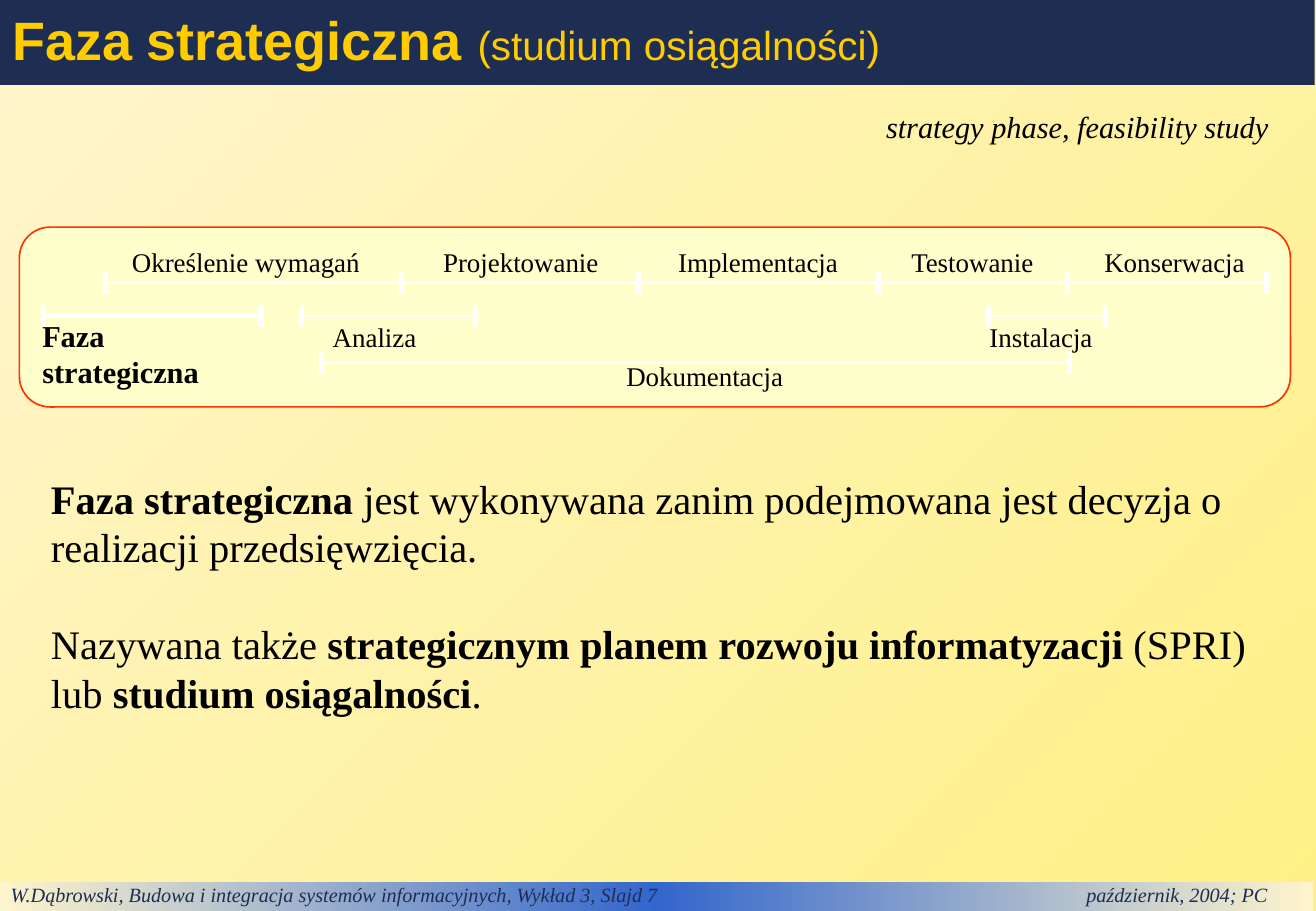
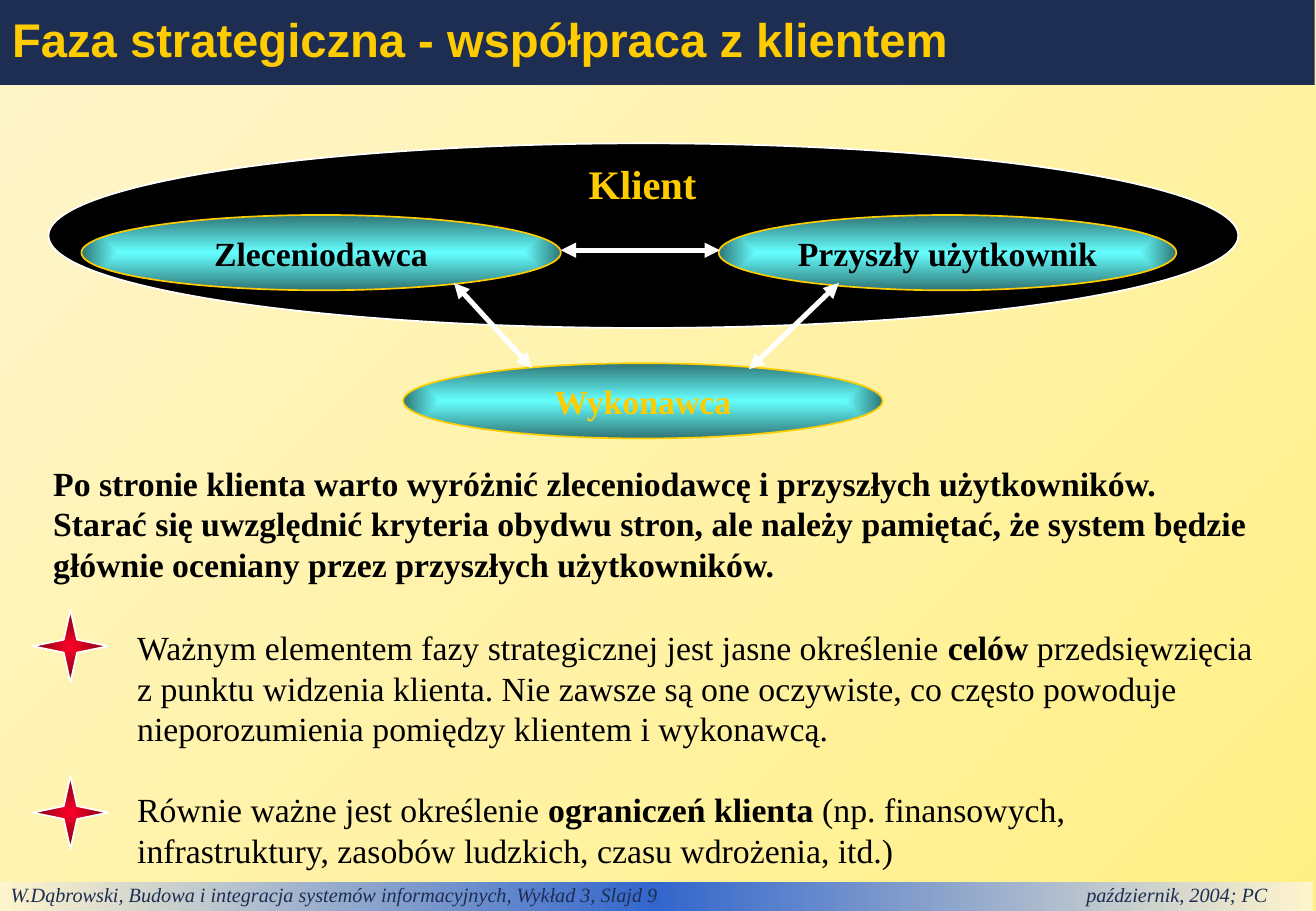
from pptx import Presentation
from pptx.dml.color import RGBColor
from pptx.enum.shapes import MSO_CONNECTOR, MSO_SHAPE
from pptx.enum.text import MSO_ANCHOR, MSO_AUTO_SIZE, PP_ALIGN
from pptx.oxml import parse_xml
from pptx.oxml.ns import nsdecls, qn
from pptx.util import Inches, Pt
from lxml import etree

# Shared colours, fonts and gradients
NAVY = RGBColor(0x1E, 0x2E, 0x53)
GOLD = RGBColor(0xFF, 0xCC, 0x00)
BLACK = RGBColor(0, 0, 0)
WHITE = RGBColor(0xFF, 0xFF, 0xFF)
CREAM = RGBColor(0xFF, 0xF5, 0xCD)
YELLOW = RGBColor(0xFF, 0xF0, 0x85)
PALE_YELLOW = RGBColor(0xFF, 0xFF, 0xCC)
ORANGE_RED = RGBColor(0xFF, 0x33, 0x00)
BLUE = RGBColor(0x33, 0x66, 0xCC)
CYAN = RGBColor(0x66, 0xFF, 0xFF)
TEAL = RGBColor(0x2F, 0x75, 0x75)
RED = RGBColor(0xFC, 0x01, 0x28)
DARK_RED = RGBColor(0x74, 0x00, 0x12)

SERIF = "Times New Roman"
SANS = "Arial"
LINEAR = '<a:lin ang="0" scaled="0"/>'
FROM_CENTRE = ('<a:path path="rect"><a:fillToRect l="50000" t="50000" '
               'r="50000" b="50000"/></a:path>')


# Text
def style_font(font, size, color=BLACK, bold=False, italic=False, name=SERIF):
    font.name, font.size = name, Pt(size)
    font.bold, font.italic = bold, italic
    font.color.rgb = color


def write_text(frame, paragraphs, size, gap=0, align=PP_ALIGN.LEFT, **style):
    """Fill a frame; **marked** parts of a paragraph become bold."""
    for index, text in enumerate(paragraphs):
        para = frame.paragraphs[0] if index == 0 else frame.add_paragraph()
        para.alignment = align
        para.space_before = Pt(gap if index else 0)
        style_font(para.font, size, **style)
        for part, content in enumerate(text.split("**")):
            if content:
                span = para.add_run()
                span.text = content
                if part % 2:
                    span.font.bold = True


def place(shape, left, top, width, height):
    shape.left, shape.top = Inches(left), Inches(top)
    shape.width, shape.height = Inches(width), Inches(height)


def add_text(slide, area, paragraphs, size, wrap=False, **style):
    box = slide.shapes.add_textbox(*map(Inches, area))
    box.text_frame.word_wrap = wrap
    write_text(box.text_frame, paragraphs, size, **style)


def fill_body(slide, area, paragraphs, size, gap):
    body = slide.placeholders[1]
    place(body, *area)
    body.text_frame.auto_size = MSO_AUTO_SIZE.NONE
    write_text(body.text_frame, paragraphs, size, gap)
    for para in body.text_frame.paragraphs:
        properties = para._p.get_or_add_pPr()
        properties.set("marL", "0")
        properties.set("indent", "0")
        defaults = properties.find(qn("a:defRPr"))
        defaults.addprevious(parse_xml(f'<a:buNone {nsdecls("a")}/>'))


# Shapes and lines
def fill_gradient(shape, stops, direction):
    marks = "".join(
        f'<a:gs pos="{position * 1000}"><a:srgbClr val="{color}"/></a:gs>'
        for position, color in stops)
    geometry = shape.element.spPr[1]
    geometry.addnext(parse_xml(
        f'<a:gradFill {nsdecls("a")} rotWithShape="1">'
        f'<a:gsLst>{marks}</a:gsLst>{direction}</a:gradFill>'))


def add_shape(slide, kind, area, fill=None, line=None):
    shape = slide.shapes.add_shape(kind, *map(Inches, area))
    shape.shadow.inherit = False
    if fill is not None:
        shape.fill.solid()
        shape.fill.fore_color.rgb = fill
    if line is None:
        shape.line.fill.background()
    else:
        shape.line.color.rgb = line
        shape.line.width = Pt(1)
    return shape


def add_line(slide, start, end, width, arrows=False):
    line = slide.shapes.add_connector(
        MSO_CONNECTOR.STRAIGHT, *map(Inches, (*start, *end)))
    line.line.color.rgb = WHITE
    line.line.width = Pt(width)
    if arrows:
        outline = line.line._get_or_add_ln()
        for tag in ("a:headEnd", "a:tailEnd"):
            etree.SubElement(outline, qn(tag)).set("type", "triangle")
    etree.SubElement(line.element.spPr, qn("a:effectLst"))


def add_time_bar(slide, y, edges, width=1):
    add_line(slide, (edges[0], y), (edges[-1], y), width)
    for x in edges:
        add_line(slide, (x, y - 0.09), (x, y + 0.09), 3)


def add_role(slide, area, name, color=BLACK):
    role = add_shape(slide, MSO_SHAPE.OVAL, area, line=GOLD)
    fill_gradient(role, [(0, CYAN), (100, TEAL)], FROM_CENTRE)
    role.text_frame.word_wrap = False
    write_text(role.text_frame, [name], 20, align=PP_ALIGN.CENTER,
               color=color, bold=True)


def add_star(slide, top):
    star = add_shape(slide, MSO_SHAPE.STAR_4_POINT, (0.27, top, 0.62, 0.6), line=WHITE)
    fill_gradient(star, [(0, RED), (100, DARK_RED)], FROM_CENTRE)


# Parts shared by the slides
def set_background(deck):
    fill = deck.slide_master.background.fill
    fill.gradient()
    fill.gradient_angle = 135
    for stop, color in zip(fill.gradient_stops, (YELLOW, CREAM)):
        stop.color.rgb = color


def add_footer(slide, number):
    band = add_shape(slide, MSO_SHAPE.RECTANGLE, (-0.01, 7.26, 10.83, 0.24))
    fill_gradient(band, [(0, CREAM), (50, BLUE), (100, CREAM)], LINEAR)
    frame = band.text_frame
    frame.margin_top, frame.margin_bottom = 0, Inches(0.04)
    frame.vertical_anchor = MSO_ANCHOR.TOP
    properties = frame.paragraphs[0]._p.get_or_add_pPr()
    properties.append(parse_xml(
        f'<a:tabLst {nsdecls("a")}><a:tab pos="{Inches(8.86)}" algn="l"/></a:tabLst>'))
    write_text(frame, [
        "W.Dąbrowski, Budowa i integracja systemów informacyjnych, "
        f"Wykład 3, Slajd {number}\tpaździernik, 2004; PC"],
        12, color=NAVY, italic=True)


def add_slide(deck, number, title, size, subtitle=None):
    slide = deck.slides.add_slide(deck.slide_layouts[1])
    add_footer(slide, number)
    heading = slide.shapes.title
    place(heading, 0, 0, 10.83, 0.7)
    heading.fill.solid()
    heading.fill.fore_color.rgb = NAVY
    frame = heading.text_frame
    frame.auto_size = MSO_AUTO_SIZE.NONE
    frame.vertical_anchor = MSO_ANCHOR.MIDDLE
    write_text(frame, [title], size, color=GOLD, bold=True, name=SANS)
    para = frame.paragraphs[0]
    para.line_spacing = 0.9
    if subtitle:
        span = para.add_run()
        span.text = subtitle
        span.font.size, span.font.bold = Pt(24), False
    return slide


# Slides
def build_phase_slide(deck):
    slide = add_slide(deck, 7, "Faza strategiczna ", 32, "(studium osiągalności)")
    add_text(slide, (7.2, 0.84, 3.35, 0.4), ["strategy phase, feasibility study"],
             18, italic=True)

    # Project timeline
    panel = add_shape(slide, MSO_SHAPE.ROUNDED_RECTANGLE, (0.16, 1.87, 10.47, 1.48),
                      PALE_YELLOW, ORANGE_RED)
    panel.adjustments[0] = 0.17
    labels = [
        ("Określenie wymagań", 0.97, 1.97, 2.11),
        ("Projektowanie", 3.53, 1.97, 1.52),
        ("Implementacja", 5.47, 1.97, 1.55),
        ("Testowanie", 7.38, 1.97, 1.26),
        ("Konserwacja", 8.98, 1.97, 1.39),
        ("Analiza", 2.64, 2.59, 0.89),
        ("Instalacja", 8.05, 2.59, 1.05),
        ("Dokumentacja", 5.06, 2.91, 1.49),
    ]
    for name, left, top, width in labels:
        add_text(slide, (left, top, width, 0.37), [name], 16, align=PP_ALIGN.CENTER)
    add_text(slide, (0.25, 2.56, 2.06, 0.4), ["Faza strategiczna"], 18, bold=True)
    add_time_bar(slide, 2.33, (0.87, 3.31, 5.26, 7.24, 8.79, 10.43))
    add_time_bar(slide, 2.6, (0.36, 2.15), 3)
    add_time_bar(slide, 2.6, (2.48, 3.92))
    add_time_bar(slide, 2.6, (8.14, 9.11))
    add_time_bar(slide, 2.99, (2.65, 8.81))

    fill_body(slide, (0.32, 3.85, 10.51, 2.1), [
        "**Faza strategiczna** jest wykonywana zanim podejmowana jest decyzja o "
        "realizacji przedsięwzięcia.",
        "Nazywana także **strategicznym planem rozwoju informatyzacji** (SPRI) "
        "lub **studium osiągalności**."], 24, 28.8)


def build_client_slide(deck):
    slide = add_slide(deck, 9, "Faza strategiczna - współpraca z klientem", 28)

    # Client, contractor and their links
    add_shape(slide, MSO_SHAPE.OVAL, (0.4, 1.18, 9.8, 1.52), BLACK, WHITE)
    add_text(slide, (4.75, 1.26, 1.09, 0.5), ["Klient"], 24, color=GOLD, bold=True)
    add_role(slide, (3.32, 2.99, 3.95, 0.62), "Wykonawca", GOLD)
    add_role(slide, (0.67, 1.77, 3.95, 0.62), "Zleceniodawca")
    add_role(slide, (5.92, 1.77, 3.77, 0.62), "Przyszły użytkownik")
    for start, end in [((4.62, 2.06), (5.93, 2.06)),
                       ((3.74, 2.33), (4.38, 3.03)),
                       ((6.17, 3.04), (6.91, 2.33))]:
        add_line(slide, start, end, 3, arrows=True)

    # Advice
    add_text(slide, (0.34, 3.76, 10.13, 1.1), [
        "Po stronie klienta warto wyróżnić zleceniodawcę i przyszłych użytkowników.",
        "Starać się uwzględnić kryteria obydwu stron, ale należy pamiętać, że system "
        "będzie głównie oceniany przez przyszłych użytkowników."],
        20, wrap=True, bold=True)
    fill_body(slide, (1.03, 5.11, 9.46, 2.1), [
        "Ważnym elementem fazy strategicznej jest jasne określenie **celów** "
        "przedsięwzięcia z punktu widzenia klienta. Nie zawsze są one oczywiste, "
        "co często powoduje nieporozumienia pomiędzy klientem i wykonawcą.",
        "Równie ważne jest określenie **ograniczeń klienta** (np. finansowych, "
        "infrastruktury, zasobów ludzkich, czasu wdrożenia, itd.)"], 20, 24)
    for top in (5.02, 6.39):
        add_star(slide, top)


def main():
    deck = Presentation()
    deck.slide_width, deck.slide_height = Inches(10.84), Inches(7.5)
    set_background(deck)
    build_phase_slide(deck)
    build_client_slide(deck)
    deck.save("out.pptx")


if __name__ == "__main__":
    main()
